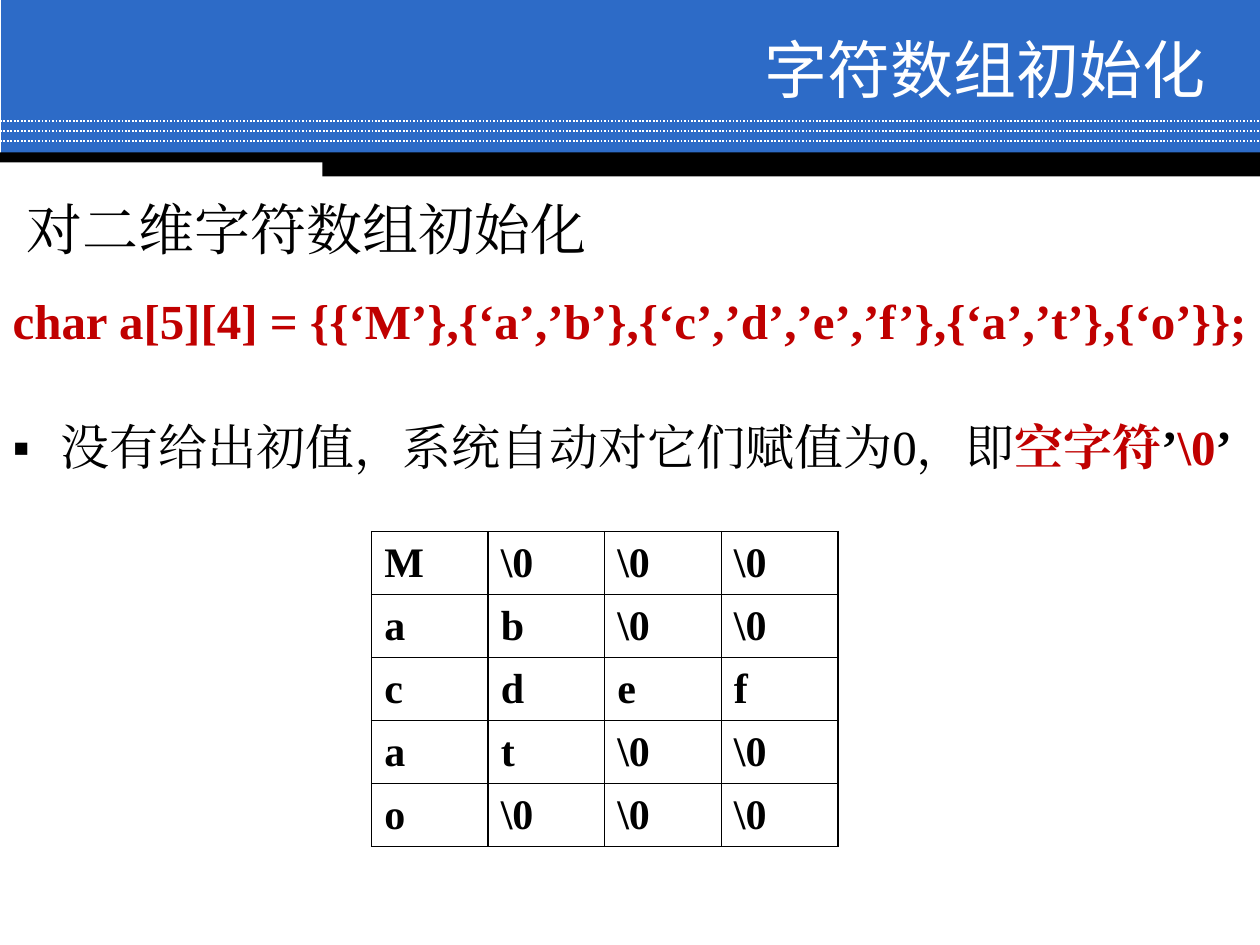
from dataclasses import dataclass
from typing import NamedTuple

from lxml.etree import SubElement
from pptx import Presentation
from pptx.dml.color import RGBColor
from pptx.enum.dml import MSO_LINE
from pptx.enum.shapes import MSO_CONNECTOR, MSO_SHAPE
from pptx.enum.text import MSO_ANCHOR, MSO_AUTO_SIZE, PP_ALIGN
from pptx.oxml.ns import qn
from pptx.util import Inches, Pt


@dataclass(frozen=True)
class Theme:
    band: RGBColor = RGBColor(0x2D, 0x6B, 0xC7)
    white: RGBColor = RGBColor(0xFF, 0xFF, 0xFF)
    black: RGBColor = RGBColor(0, 0, 0)
    accent: RGBColor = RGBColor(0xC0, 0, 0)
    title_face: str = "Noto Sans CJK SC"
    body_face: str = "Times New Roman"
    title_size: int = 36
    heading_size: int = 32
    body_size: int = 28
    cell_size: int = 24


class Bar(NamedTuple):
    left: float
    top: float
    width: float
    height: float
    color: RGBColor


class Span(NamedTuple):
    text: str
    color: RGBColor
    bold: bool = False


class BodyPara(NamedTuple):
    spans: list[Span]
    size: int
    before: float
    margin: float
    indent: float
    bullet: str = ""


THEME = Theme()
BARS = [
    Bar(0.01, 0, 9.99, 1.23, THEME.band),
    Bar(0, 1.21, 10, 0.08, THEME.black),
    Bar(2.56, 1.24, 7.44, 0.16, THEME.black),
]
DOTTED_LINES = [0.96, 1.04, 1.12]
BODY = [
    BodyPara([Span("对二维字符数组初始化", THEME.black)],
             THEME.heading_size, 0, 0.11, 0),
    BodyPara([Span("char a[5][4] = {{‘M’},{‘a’,’b’},{‘c’,’d’,’e’,’f’},{‘a’,’t’},{‘o’}};",
                   THEME.accent, True)],
             THEME.body_size, 20, 0.38, -0.38),
    BodyPara([Span("没有给出初值，系统自动对它们赋值为0，即", THEME.black),
              Span("空字符", THEME.accent, True),
              Span("’", THEME.black, True),
              Span("\\0", THEME.accent, True),
              Span("’", THEME.black, True)],
             THEME.body_size, 42, 0.38, -0.38, "▪"),
]
INITIALISERS = ["M", "ab", "cdef", "at", "o"]
COLUMNS = 4


def set_font(para, face: str, size: int) -> None:
    """Use one face for both Latin and East Asian text."""
    para.font.size = Pt(size)
    para.font.name = face
    properties = para._p.get_or_add_pPr().find(qn("a:defRPr"))
    SubElement(properties, qn("a:ea"), typeface=face)


def add_bar(slide, bar: Bar) -> None:
    shape = slide.shapes.add_shape(MSO_SHAPE.RECTANGLE, *map(Inches, bar[:4]))
    shape.shadow.inherit = False
    shape.fill.solid()
    shape.fill.fore_color.rgb = bar.color
    shape.line.fill.background()


def add_dotted_line(slide, top: float) -> None:
    line = slide.shapes.add_connector(
        MSO_CONNECTOR.STRAIGHT, 0, Inches(top), Inches(10), Inches(top))
    line.line.color.rgb = THEME.white
    line.line.width = Pt(1)
    line.line.dash_style = MSO_LINE.ROUND_DOT
    SubElement(line.element.spPr, qn("a:effectLst"))


def place(box, left: float, top: float, width: float, height: float) -> None:
    """Position a placeholder and bring it in front of the header band."""
    box.left, box.top = Inches(left), Inches(top)
    box.width, box.height = Inches(width), Inches(height)
    box.text_frame.word_wrap = True
    box.text_frame.auto_size = MSO_AUTO_SIZE.NONE
    box.element.getparent().append(box.element)


def fill_title(box) -> None:
    place(box, 2.75, 0.25, 6.92, 0.58)
    box.text_frame.vertical_anchor = MSO_ANCHOR.MIDDLE
    para = box.text_frame.paragraphs[0]
    para.text = "字符数组初始化"
    para.alignment = PP_ALIGN.RIGHT
    para.font.color.rgb = THEME.white
    set_font(para, THEME.title_face, THEME.title_size)


def fill_body(box) -> None:
    place(box, 0, 1.55, 10.23, 2.44)
    frame = box.text_frame
    for index, item in enumerate(BODY):
        para = frame.add_paragraph() if index else frame.paragraphs[0]
        para.line_spacing = 0.9
        para.space_before = Pt(item.before)
        properties = para._p.get_or_add_pPr()
        properties.set("marL", str(Inches(item.margin)))
        properties.set("indent", str(Inches(item.indent)))
        if item.bullet:
            SubElement(properties, qn("a:buChar"), char=item.bullet)
        else:
            SubElement(properties, qn("a:buNone"))
        set_font(para, THEME.body_face, item.size)
        for span in item.spans:
            run = para.add_run()
            run.text = span.text
            run.font.bold = span.bold
            run.font.color.rgb = span.color


def add_borders(cell) -> None:
    properties = cell._tc.get_or_add_tcPr()
    for index, side in enumerate(("lnL", "lnR", "lnT", "lnB")):
        border = properties.makeelement(qn(f"a:{side}"), {"w": str(Pt(1))})
        fill = SubElement(border, qn("a:solidFill"))
        SubElement(fill, qn("a:srgbClr"), val=str(THEME.black))
        properties.insert(index, border)


def add_array_table(slide) -> None:
    table = slide.shapes.add_table(
        len(INITIALISERS), COLUMNS,
        Inches(2.95), Inches(4.22), Inches(3.7), Inches(2.5)).table
    table.first_row = table.horz_banding = False
    for row, letters in enumerate(INITIALISERS):
        values = list(letters) + ["\\0"] * (COLUMNS - len(letters))
        for column, value in enumerate(values):
            cell = table.cell(row, column)
            cell.text = value
            cell.vertical_anchor = MSO_ANCHOR.MIDDLE
            cell.fill.background()
            add_borders(cell)
            para = cell.text_frame.paragraphs[0]
            para.font.bold = True
            para.font.color.rgb = THEME.black
            set_font(para, THEME.body_face, THEME.cell_size)


def main() -> None:
    deck = Presentation()
    deck.slide_width, deck.slide_height = Inches(10), Inches(7.5)
    slide = deck.slides.add_slide(deck.slide_layouts[1])
    band, *strips = BARS
    add_bar(slide, band)
    for top in DOTTED_LINES:
        add_dotted_line(slide, top)
    for strip in strips:
        add_bar(slide, strip)
    fill_title(slide.shapes.title)
    fill_body(slide.placeholders[1])
    add_array_table(slide)
    deck.save("out.pptx")


if __name__ == "__main__":
    main()
